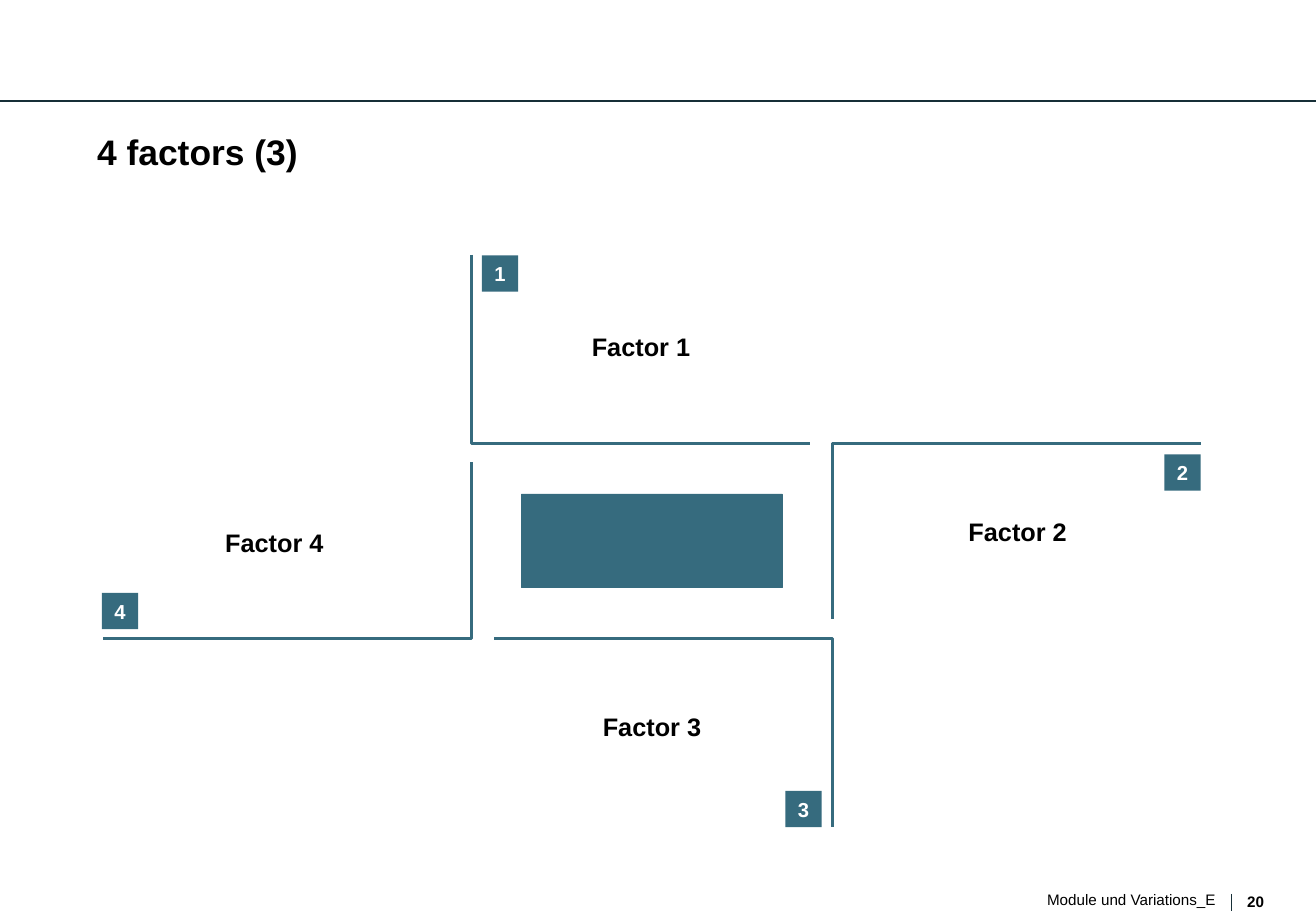
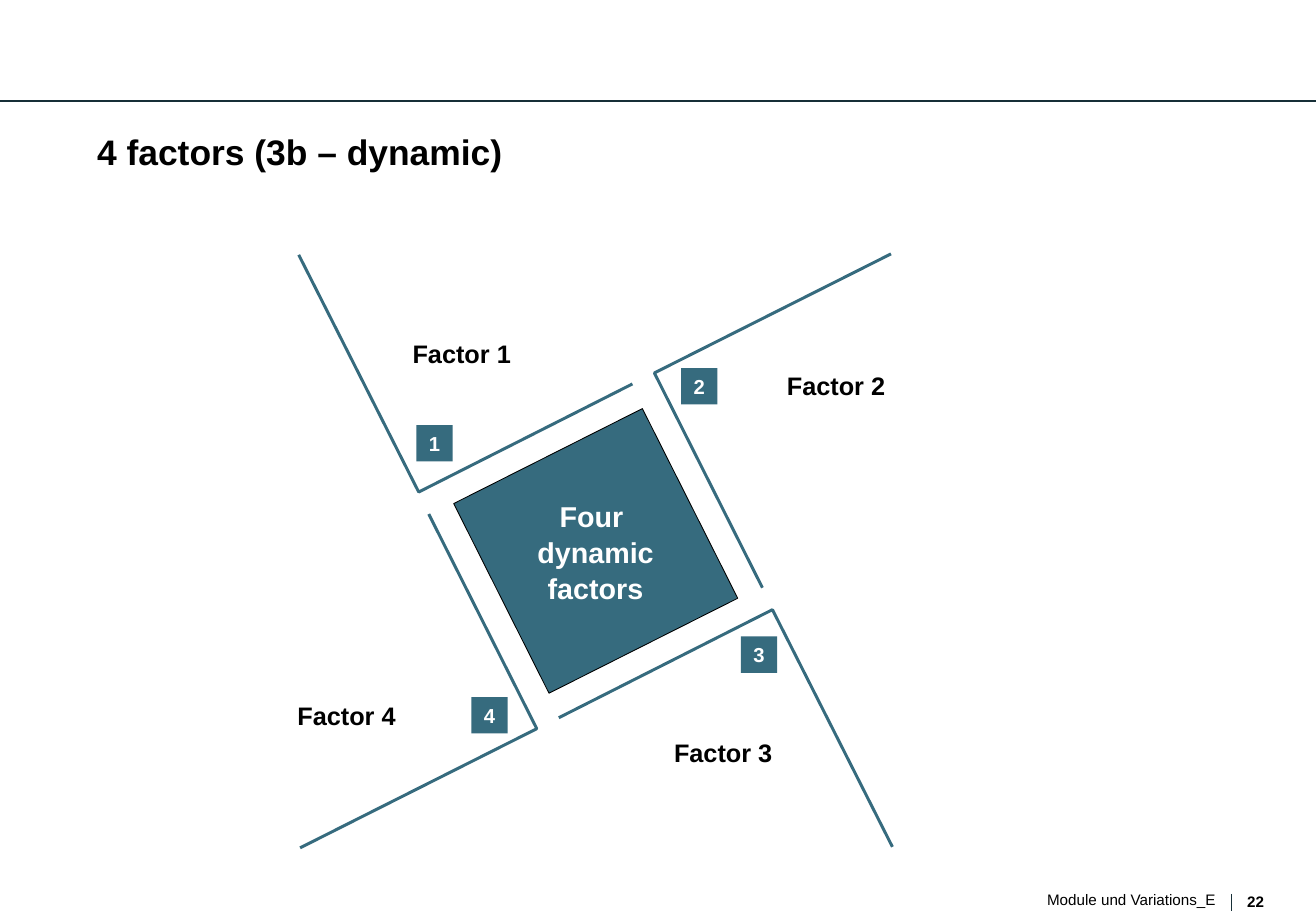
import pptx
import pptx.util
import pptx.dml.color
import pptx.enum.shapes
import pptx.enum.text
from lxml import etree

Cm, Pt = pptx.util.Cm, pptx.util.Pt
MSO, ALIGN = pptx.enum.shapes, pptx.enum.text.PP_ALIGN
ANCHOR = pptx.enum.text.MSO_ANCHOR

COLORS = {"teal": "366B7E", "rule": "172F37", "text": "000000", "white": "FFFFFF"}
RGB = {name: pptx.dml.color.RGBColor.from_string(h) for name, h in COLORS.items()}

# Text styles: font attributes, colour and alignment
STYLES = {
    "title": ({"size": Pt(21), "bold": True}, "text", ALIGN.LEFT, 0.93),
    "label": ({"size": Pt(15), "bold": True}, "text", ALIGN.CENTER, 1.0),
    "badge": ({"size": Pt(12), "bold": True}, "white", ALIGN.CENTER, 1.0),
    "core": ({"size": Pt(17), "bold": True}, "white", ALIGN.CENTER, 1.05),
    "footer": ({"size": Pt(9), "bold": False}, "text", ALIGN.RIGHT, Pt(11)),
    "page": ({"size": Pt(9), "bold": True}, "text", ALIGN.LEFT, 1.0),
}
BADGE = 0.76

# Slide content in cm; brackets 3 and 4 are half turns of 1 and 2 about the centre
SLIDES = [
    {
        "title": "4 factors (3)", "page": "20", "center": (13.64, 11.31),
        "brackets": [[(9.86, 5.33), (9.86, 9.27), (16.94, 9.27)],
                     [(25.12, 9.27), (17.42, 9.27), (17.42, 12.95)]],
        "badges": [(10.46, 5.72), (24.74, 9.88), (16.81, 16.92), (2.51, 12.78)],
        "labels": [(13.41, 7.25), (21.29, 11.11), (13.64, 15.2), (5.74, 11.34)],
        "core": (5.46, 1.96), "turn": 0, "edge": "teal", "core_text": [],
    },
    {
        "title": "4 factors (3b – dynamic)", "page": "22", "center": (12.46, 11.52),
        "brackets": [[(6.25, 5.33), (8.76, 10.29), (13.23, 8.03)],
                     [(18.64, 5.31), (13.69, 7.8), (15.95, 12.29)]],
        "badges": [(9.09, 9.27), (14.63, 8.08), (15.88, 13.69), (10.24, 14.96)],
        "labels": [(9.66, 7.38), (17.49, 8.06), (15.13, 15.74), (7.25, 14.97)],
        "core": (4.42, 4.44), "turn": 153.3, "edge": "text",
        "core_text": ["Four ", "dynamic", "factors"],
    },
]


def write(sp, lines, style, anchor=ANCHOR.MIDDLE, wrap=False):
    font, color, align, spacing = STYLES[style]
    tf = sp.text_frame
    frame = {"margin_left": 0, "margin_right": 0, "margin_top": 0, "margin_bottom": 0,
             "vertical_anchor": anchor, "word_wrap": wrap,
             "auto_size": pptx.enum.text.MSO_AUTO_SIZE.NONE}
    for key, value in frame.items():
        setattr(tf, key, value)
    for i, line in enumerate(lines):
        p = tf.add_paragraph() if i else tf.paragraphs[0]
        p.alignment, p.line_spacing = align, spacing
        r = p.add_run()
        r.text = line
        r.font.name = "Arial"
        r.font.color.rgb = RGB[color]
        for key, value in font.items():
            setattr(r.font, key, value)


def centered(x, y, w, h):
    return Cm(x - w / 2), Cm(y - h / 2), Cm(w), Cm(h)


prs = pptx.Presentation()
prs.slide_width, prs.slide_height = Cm(27.53), Cm(19.05)

for data in SLIDES:
    s = prs.slides.add_slide(prs.slide_layouts[5])
    cx, cy = data["center"]

    # Header rule and footer divider
    for x1, y1, x2, y2 in [(0, 2.11, 27.52, 2.11), (25.76, 18.69, 25.76, 19.05)]:
        line = s.shapes.add_connector(MSO.MSO_CONNECTOR.STRAIGHT,
                                      Cm(x1), Cm(y1), Cm(x2), Cm(y2))
        line.line.color.rgb = RGB["rule"]
        line.line.width = Pt(0.75)
        etree.SubElement(line.element.spPr, pptx.oxml.ns.qn("a:effectLst"))

    # Title and footer
    title = s.shapes.title
    title.left, title.top, title.width, title.height = Cm(2.03), Cm(2.79), Cm(23.77), Cm(1.83)
    write(title, [data["title"]], "title", ANCHOR.TOP, True)
    for text, style, x, y, w in [("Module und Variations_E", "footer", 15.8, 18.62, 9.63),
                                 (data["page"], "page", 26.09, 18.67, 0.43)]:
        sp = s.shapes.add_textbox(Cm(x), Cm(y), Cm(w), Cm(0.38))
        write(sp, [text], style, ANCHOR.TOP)

    # Brackets
    turned = [[(2 * cx - x, 2 * cy - y) for x, y in points] for points in data["brackets"]]
    for points in data["brackets"] + turned:
        start, *rest = [(Cm(x), Cm(y)) for x, y in points]
        fb = s.shapes.build_freeform(*start)
        fb.add_line_segments(rest, close=False)
        sp = fb.convert_to_shape()
        sp.shadow.inherit = False
        sp.fill.background()
        sp.line.color.rgb = RGB["teal"]
        sp.line.width = Pt(1.75)

    # Central block, with its upright text on top
    core = s.shapes.add_shape(MSO.MSO_SHAPE.RECTANGLE, *centered(cx, cy, *data["core"]))
    core.rotation = data["turn"]
    core.shadow.inherit = False
    core.fill.solid()
    core.fill.fore_color.rgb = RGB["teal"]
    core.line.color.rgb = RGB[data["edge"]]
    core.line.width = Pt(0.5)
    if data["core_text"]:
        sp = s.shapes.add_textbox(*centered(cx, cy, 2.44, 2.16))
        write(sp, data["core_text"], "core")

    # Numbered badges and factor labels
    for n, (badge, label) in enumerate(zip(data["badges"], data["labels"]), 1):
        sp = s.shapes.add_shape(MSO.MSO_SHAPE.RECTANGLE, *centered(*badge, BADGE, BADGE))
        sp.shadow.inherit = False
        sp.fill.solid()
        sp.fill.fore_color.rgb = RGB["teal"]
        sp.line.fill.background()
        write(sp, [str(n)], "badge")
        sp = s.shapes.add_textbox(*centered(*label, 3.4, 0.64))
        write(sp, [f"Factor {n}"], "label")

prs.save("out.pptx")
